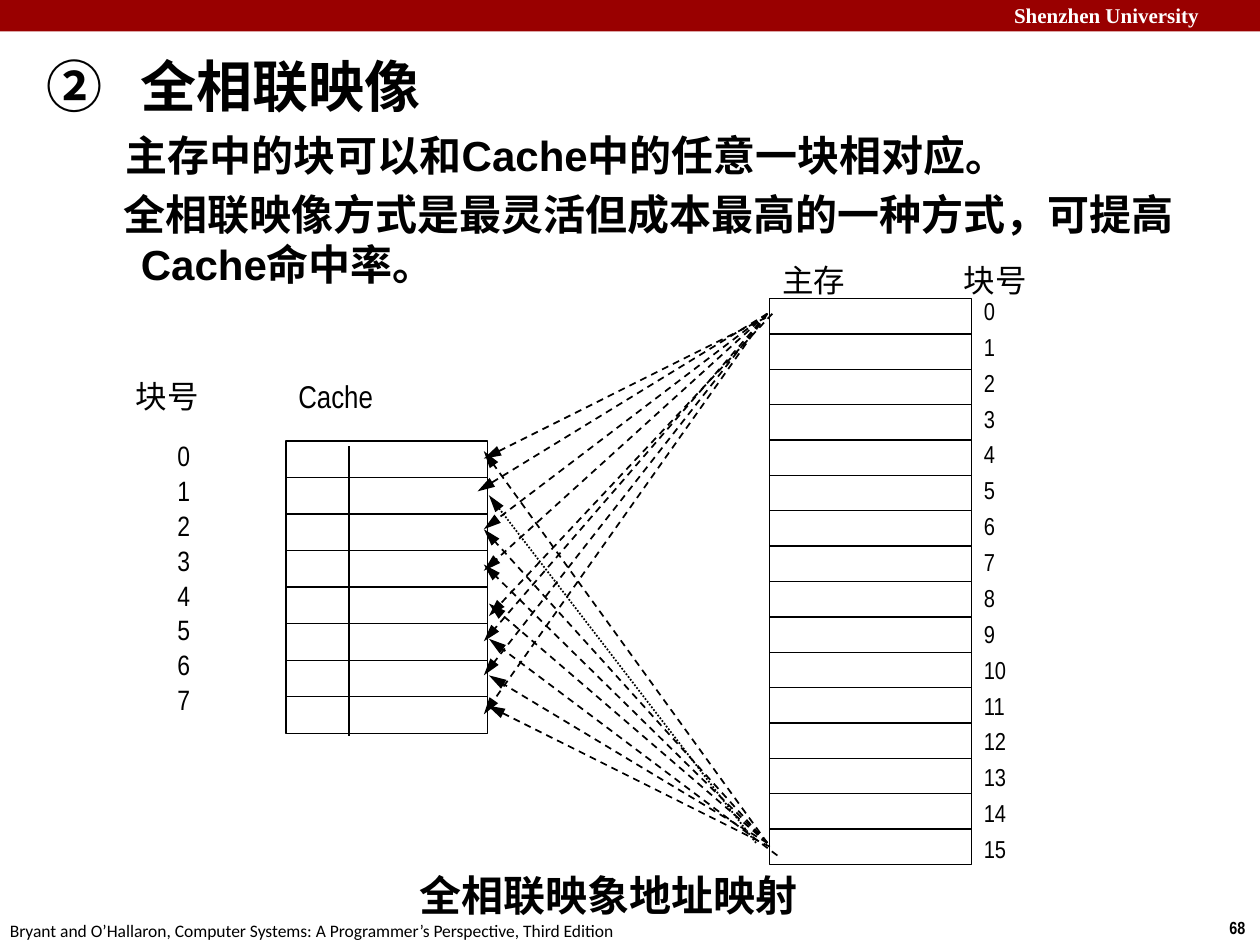
import pptx
import pptx.util
import pptx.dml.color
import pptx.enum.dml
import pptx.enum.shapes
import pptx.enum.text
import pptx.oxml.ns
from lxml import etree

Inches = pptx.util.Inches
Pt = pptx.util.Pt
COLORS = {"ink": "000000", "bar": "990000", "light": "FFFFFF"}
DASH = pptx.enum.dml.MSO_LINE.DASH
DOT = pptx.enum.dml.MSO_LINE.ROUND_DOT


def tint(name):
    return pptx.dml.color.RGBColor.from_string(COLORS[name])


def child(parent, tag, **attrs):
    return etree.SubElement(parent, pptx.oxml.ns.qn(tag), attrs)


class Board:
    """Draws styled elements on the current slide."""

    def __init__(self, slide):
        self.slide = slide
        self.face = "Arial Narrow"

    def style(self, para, size, face=None, bold=False, color="ink"):
        font = para.font
        font.size = Pt(size)
        font.name = face or self.face
        font.bold = bold
        font.color.rgb = tint(color)

    def frame(self, left, top, width, height, wrap=True):
        box = self.slide.shapes.add_textbox(
            Inches(left), Inches(top), Inches(width), Inches(height))
        box.text_frame.word_wrap = wrap
        return box.text_frame

    def text(self, words, at, size, wrap=True, full=False, **look):
        para = self.frame(*at, wrap=wrap).paragraphs[0]
        para.text = words
        if full:
            para.alignment = pptx.enum.text.PP_ALIGN.JUSTIFY
        self.style(para, size, **look)

    def body(self, at, items):
        frame = self.frame(*at)
        for num, (words, size, indent, gap, start) in enumerate(items):
            para = frame.add_paragraph() if num else frame.paragraphs[0]
            para.text = words
            props = para._p.get_or_add_pPr()
            props.set("marL", str(Inches(0.75)))
            props.set("indent", str(Inches(indent)))
            if gap:
                para.space_before = Pt(gap)
            if start:
                child(props, "a:buAutoNum", type="circleNumDbPlain", startAt=start)
            else:
                child(props, "a:buNone")
            self.style(para, size, face="Arial", bold=True)

    def rect(self, left, top, width, height, fill=None):
        shape = self.slide.shapes.add_shape(
            pptx.enum.shapes.MSO_SHAPE.RECTANGLE,
            Inches(left), Inches(top), Inches(width), Inches(height))
        shape.shadow.inherit = False
        if fill:
            shape.fill.solid()
            shape.fill.fore_color.rgb = tint(fill)
            shape.line.fill.background()
        else:
            shape.fill.background()
            shape.line.color.rgb = tint("ink")
            shape.line.width = Pt(0.75)

    def stack(self, count, left, first, last):
        step = (last - first) / (count - 1)
        for num in range(count):
            self.rect(left, first + num * step, 1.6, step)

    def labels(self, count, left, first, last, size):
        step = (last - first) / (count - 1)
        for num in range(count):
            self.text(str(num), (left, first + num * step, 0.96, 0.42), size, full=True)

    def line(self, start, end, width=0.75, dash=None, arrow=False):
        link = self.slide.shapes.add_connector(
            pptx.enum.shapes.MSO_CONNECTOR.STRAIGHT,
            *(Inches(num) for num in (*start, *end)))
        link.line.color.rgb = tint("ink")
        link.line.width = Pt(width)
        if dash:
            link.line.dash_style = dash
        if arrow:
            child(link.line._get_or_add_ln(), "a:tailEnd", type="triangle", w="med", len="lg")
        child(link._element.spPr, "a:effectLst")


def main():
    deck = pptx.Presentation()
    deck.slide_width, deck.slide_height = Inches(10), Inches(7.5)
    board = Board(deck.slides.add_slide(deck.slide_layouts[6]))

    board.rect(0, 0, 10, 0.25, fill="bar")
    board.text("Shenzhen University", (7.95, -0.03, 2.12, 0.3), 12,
               face="Times New Roman", bold=True, color="light")
    board.text("68", (9.66, 7.23, 0.34, 0.27), 10, wrap=False, bold=True)
    board.text("Bryant and O’Hallaron, Computer Systems: A Programmer’s Perspective, Third Edition",
               (-0.02, 7.25, 5.09, 0.27), 10, wrap=False, face="Calibri")
    board.text("全相联映象地址映射", (3.23, 6.85, 4.16, 0.42), 24,
               full=True, face="Arial", bold=True)

    board.stack(8, 2.27, 3.5, 5.53)
    board.labels(8, 1.31, 3.43, 5.37, 16)
    board.stack(16, 6.11, 2.37, 6.58)
    board.labels(16, 7.71, 2.3, 6.57, 14)
    for words, left, top in (("块号", 0.98, 2.94), ("块号", 7.55, 2.02),
                             ("Cache", 2.27, 2.94), ("主存", 6.11, 2.02)):
        board.text(words, (left, top, 1.6, 0.42), 18, full=True)

    upper, lower = (6.09, 2.49), (6.09, 6.69)
    for start, end, dash in (
        ((6.08, 2.52), (3.84, 3.64), DASH),
        (upper, (3.79, 3.9), DASH),
        (upper, (3.84, 4.2), DASH),
        (upper, (3.84, 4.53), DASH),
        ((6.13, 2.49), (3.88, 4.89), DASH),
        (upper, (3.84, 5.09), DASH),
        (upper, (3.84, 5.36), DASH),
        (upper, (3.84, 5.67), DASH),
        ((6.11, 6.72), (3.87, 5.6), DASH),
        (lower, (3.88, 5.36), DASH),
        ((6.17, 6.79), (3.88, 5.07), DASH),
        (lower, (3.88, 4.79), DASH),
        (lower, (3.84, 4.48), DASH),
        (lower, (3.84, 4.2), DASH),
        ((6, 6.69), (3.88, 3.93), DOT),
        (lower, (3.84, 3.58), DASH),
    ):
        board.line(start, end, width=1, dash=dash, arrow=True)
    board.line((2.77, 3.54), (2.77, 5.84))

    board.body((0.27, 0.36, 9.53, 2.12), (
        ("全相联映像", 32, -0.75, 0, "2"),
        ("主存中的块可以和Cache中的任意一块相对应。", 24, -0.12, 6, None),
        ("全相联映像方式是最灵活但成本最高的一种方式，可提高 Cache命中率。", 24, -0.14, 5, None),
    ))
    deck.save("out.pptx")


if __name__ == "__main__":
    main()
